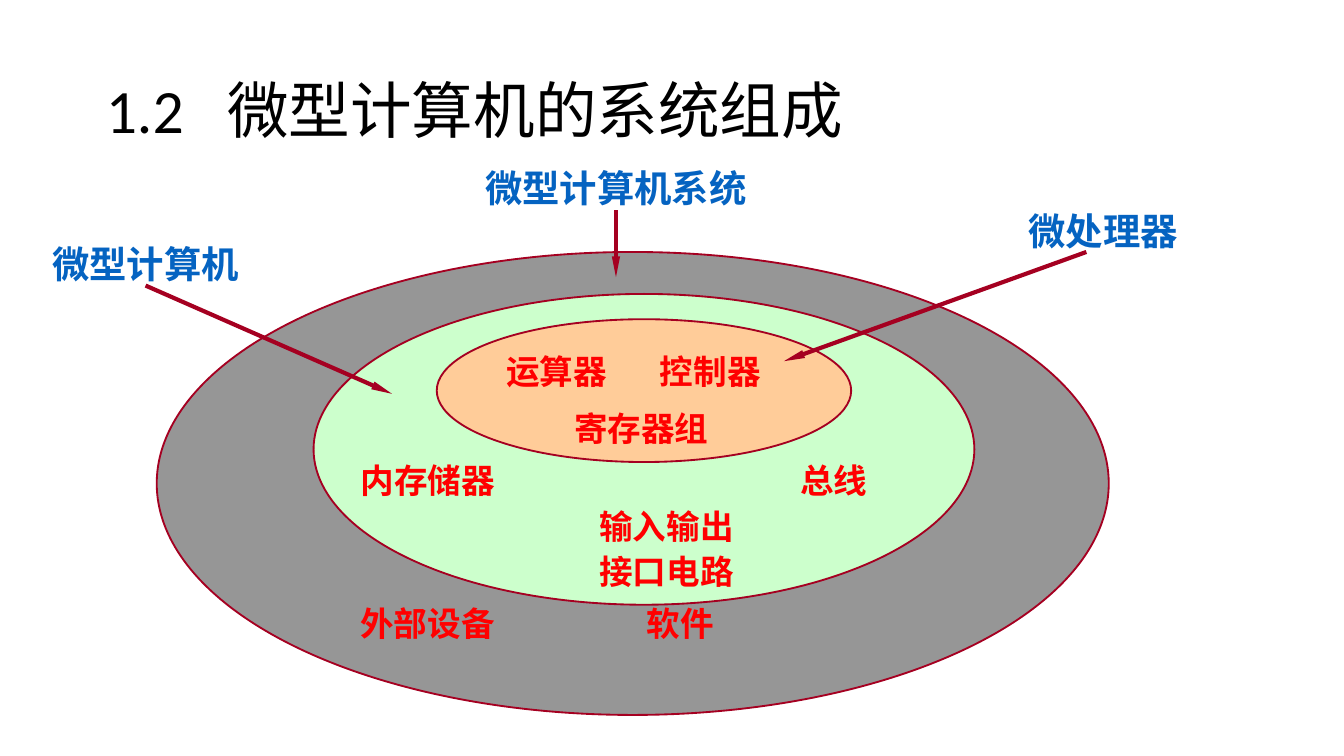
from dataclasses import dataclass

from lxml.etree import SubElement as add_element
from pptx import Presentation
from pptx.dml.color import RGBColor as Color
from pptx.enum.shapes import MSO_CONNECTOR as Connector, MSO_SHAPE as Shape
from pptx.enum.text import MSO_ANCHOR as Anchor, PP_ALIGN as Align
from pptx.oxml.ns import qn
from pptx.util import Pt


@dataclass(frozen=True)
class Theme:
    title_color: Color = Color.from_string("000000")
    outline_color: Color = Color.from_string("A50021")
    system_color: Color = Color.from_string("969696")
    computer_color: Color = Color.from_string("CCFFCC")
    processor_color: Color = Color.from_string("FFCC99")
    component_color: Color = Color.from_string("FF0000")
    label_color: Color = Color.from_string("0563C1")
    title_font: str = "Calibri"
    text_font: str = "Times New Roman"
    device_font: str = "Noto Sans CJK SC"
    title_size: int = 33
    component_size: int = 18
    label_size: int = 20


def apply_format(target, values):
    for name, value in values.items():
        setattr(target, name, value)


class SlideBuilder:
    def __init__(self, slide, theme):
        self.slide = slide
        self.theme = theme

    def format_font(self, paragraph, name, size, color, bold):
        apply_format(paragraph.font, {"name": name, "size": Pt(size), "bold": bold})
        paragraph.font.color.rgb = color

    def set_tab(self, paragraph, position):
        properties = paragraph._p.get_or_add_pPr()
        tabs = add_element(properties, qn("a:tabLst"))
        add_element(tabs, qn("a:tab"), pos=str(Pt(position)), algn="l")

    def title(self, text, left, top, width, height, tab):
        title = self.slide.shapes.title
        apply_format(title, {"left": Pt(left), "top": Pt(top),
                             "width": Pt(width), "height": Pt(height)})
        title.text_frame.vertical_anchor = Anchor.MIDDLE
        title.text_frame.text = text
        paragraph = title.text_frame.paragraphs[0]
        apply_format(paragraph, {"alignment": Align.LEFT, "line_spacing": 0.9})
        self.set_tab(paragraph, tab)
        theme = self.theme
        self.format_font(paragraph, theme.title_font, theme.title_size,
                         theme.title_color, False)

    def ellipse(self, left, top, width, height, fill):
        ellipse = self.slide.shapes.add_shape(
            Shape.OVAL, Pt(left), Pt(top), Pt(width), Pt(height))
        ellipse.shadow.inherit = False
        ellipse.fill.solid()
        ellipse.fill.fore_color.rgb = fill
        ellipse.line.color.rgb = self.theme.outline_color
        ellipse.line.width = Pt(1)

    def text(self, left, top, width, height, lines, size, color, font=None):
        box = self.slide.shapes.add_textbox(Pt(left), Pt(top), Pt(width), Pt(height))
        frame = box.text_frame
        frame.word_wrap = True
        for index, (text, tab, values) in enumerate(lines):
            paragraph = frame.add_paragraph() if index else frame.paragraphs[0]
            paragraph.text = text
            apply_format(paragraph, values)
            if index:
                paragraph.space_before = Pt(size / 2)
            if tab:
                self.set_tab(paragraph, tab)
            self.format_font(paragraph, font or self.theme.text_font, size, color, True)

    def label(self, text, left, top, width):
        self.text(left, top, width, 31.5, [(text, None, {"alignment": Align.CENTER})],
                  self.theme.label_size, self.theme.label_color)

    def pointer(self, target, origin):
        pointer = self.slide.shapes.add_connector(
            Connector.STRAIGHT, *(Pt(value) for value in target + origin))
        pointer.line.color.rgb = self.theme.outline_color
        pointer.line.width = Pt(2.25)
        outline = pointer._element.spPr.find(qn("a:ln"))
        add_element(outline, qn("a:headEnd"), type="triangle", w="sm", len="lg")
        add_element(pointer._element.spPr, qn("a:effectLst"))


def main():
    presentation = Presentation()
    presentation.slide_width, presentation.slide_height = Pt(720), Pt(405)
    theme = Theme()
    builder = SlideBuilder(
        presentation.slides.add_slide(presentation.slide_layouts[5]), theme)

    builder.title("1.2\t微型计算机的系统组成", 49.5, 21.5, 621, 78.5, 65)

    for ellipse in [
        (84, 135, 510, 248, theme.system_color),
        (168, 157.5, 354, 166.5, theme.computer_color),
        (234, 171, 222, 76.5, theme.processor_color),
    ]:
        builder.ellipse(*ellipse)

    centered = {"alignment": Align.CENTER, "line_spacing": 0.7}
    component_style = (theme.component_size, theme.component_color)
    builder.text(264, 184.5, 168, 62, [
        ("运算器\t控制器", 82.5, {}),
        ("\t寄存器组", 36.5, {}),
    ], *component_style)
    builder.text(186, 243, 342, 81, [
        ("内存储器\t总线", 235.5, {}),
        ("输入输出", None, centered),
        ("接口电路", None, centered),
    ], *component_style)
    builder.text(186, 319.5, 324, 29, [("外部设备\t软件", 153.5, {})],
                 *component_style, theme.device_font)

    for text, left, top, width, target, origin in [
        ("微处理器", 534, 108, 114, (420, 193.5), (582, 135)),
        ("微型计算机", 18, 125.5, 120, (210, 211), (78, 153)),
        ("微型计算机系统", 240, 85, 180, (330, 148.5), (330, 112.5)),
    ]:
        builder.pointer(target, origin)
        builder.label(text, left, top, width)

    presentation.save("out.pptx")


if __name__ == "__main__":
    main()
